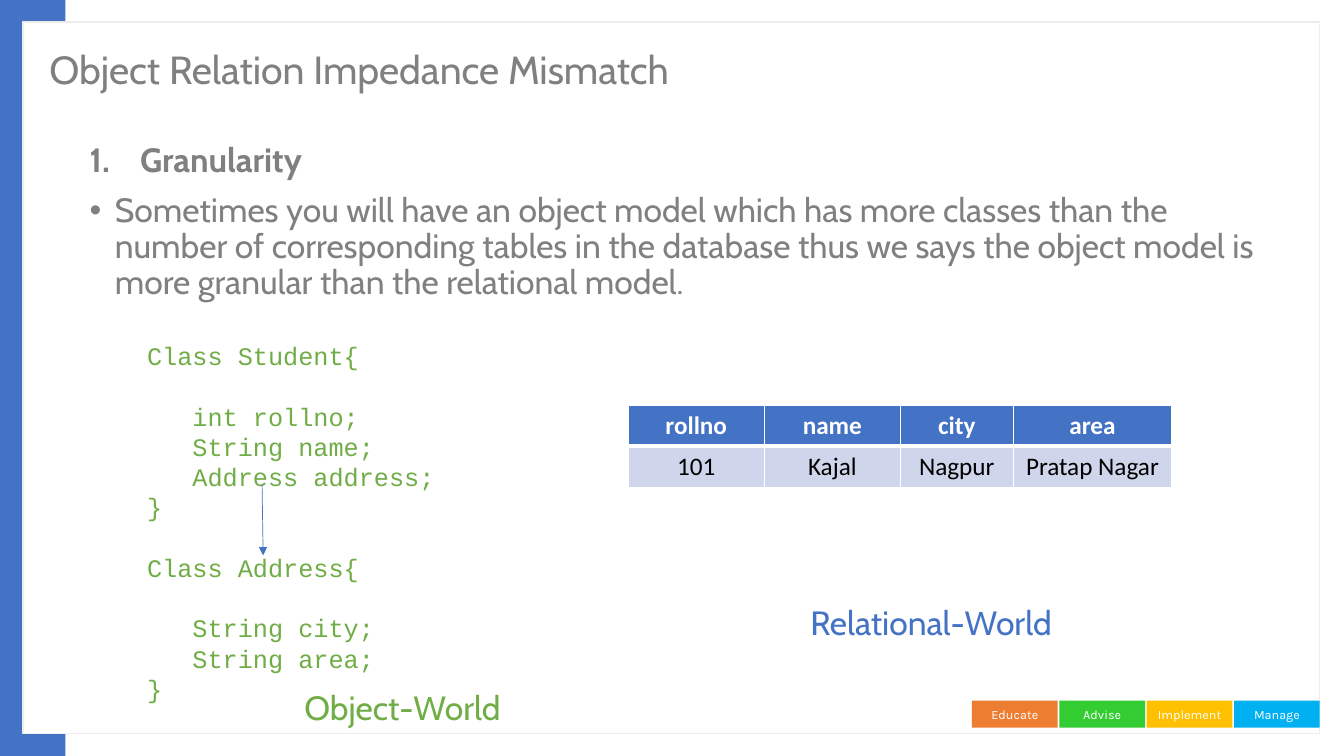
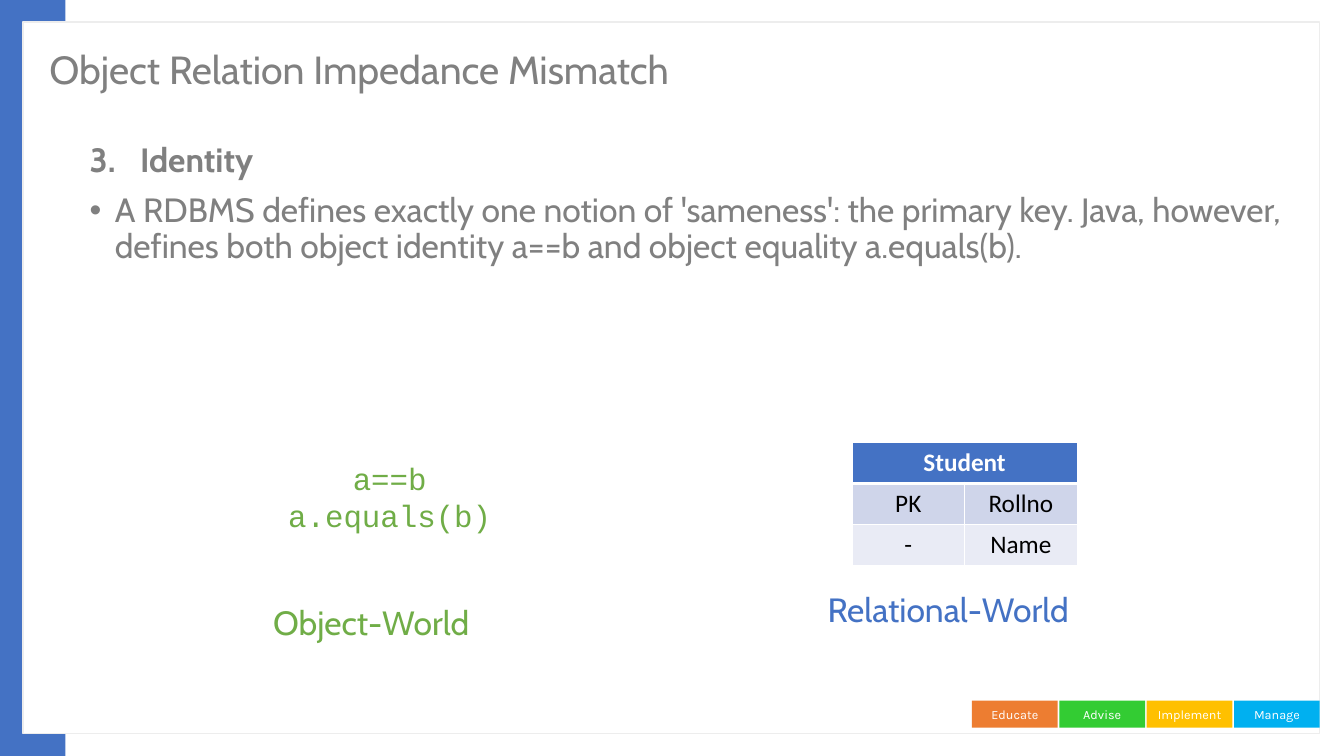
from pptx import Presentation
from pptx.dml.color import RGBColor
from pptx.enum.shapes import MSO_CONNECTOR, MSO_SHAPE
from pptx.enum.text import MSO_ANCHOR, PP_ALIGN
from pptx.oxml.ns import qn
from pptx.util import Inches, Pt
from lxml.etree import SubElement

COLORS = {
    "blue": "4472C4", "white": "FFFFFF", "frame": "EDEDED", "grey": "808080",
    "green": "70AD47", "black": "000000", "odd_row": "CFD5EA", "even_row": "E9EBF5",
    "orange": "ED7D31", "lime": "33CC33", "amber": "FFC000", "sky": "00B0F0",
}
RGB = {name: RGBColor.from_string(value) for name, value in COLORS.items()}
TITLE = "Object Relation Impedance Mismatch"
FOOTER = [("Educate", "orange"), ("Advise", "lime"), ("Implement", "amber"), ("Manage", "sky")]

prs = Presentation()
prs.slide_width, prs.slide_height = Inches(13.33), Inches(7.5)
# The grid has 100 columns and 100 rows
COL, ROW = prs.slide_width / 100, prs.slide_height / 100
TABLE_ROW = 5.42
CODE_INDENT, CODE_GAP = Pt(32.4), Pt(21.6)


def add_outline(parent, tag, color, points):
    """Append a solid line element, used for letter outlines and cell borders."""
    ln = SubElement(parent, qn(tag), w=str(Pt(points)))
    SubElement(SubElement(ln, qn("a:solidFill")), qn("a:srgbClr"), val=COLORS[color])


def add_text(s, box, lines, size, color, font="Cabin", align=PP_ALIGN.LEFT, outlined=False):
    """Add a text box placed in grid units, one paragraph per line."""
    x, y, w, h = box
    tf = s.shapes.add_textbox(int(x * COL), int(y * ROW), int(w * COL), int(h * ROW)).text_frame
    tf.word_wrap = True
    tf.text = "\n".join(lines)
    for p in tf.paragraphs:
        p.alignment = align
        for r in p.runs:
            if outlined:
                add_outline(r.font._element, "a:ln", color, 0.75)
            r.font.size, r.font.name = Pt(size), font
            r.font.color.rgb = RGB[color]
    return tf


SLIDES = [
    {
        "number": 1, "heading": "Granularity",
        "body": "Sometimes you will have an object model which has more classes than the "
                "number of corresponding tables in the database thus we says the object "
                "model is more granular than the relational model.",
        "object_at": (21.9, 90.27), "relational_at": (59.56, 78.93),
        "table_at": (46.74, 53.6), "cols": [10.13, 10.13, 8.4, 11.78],
        "rows": [["rollno", "name", "city", "area"],
                 ["101", "Kajal", "Nagpur", "Pratap Nagar"]],
    },
    {
        "number": 3, "heading": "Identity",
        "body": "A RDBMS defines exactly one notion of 'sameness': the primary key. Java, "
                "however, defines both object identity a==b and object equality a.equals(b).",
        "object_at": (19.58, 78.93), "relational_at": (60.84, 77.2),
        "table_at": (63.39, 58.53), "cols": [8.38, 8.38],
        "rows": [["Student", ""], ["PK", "Rollno"], ["-", "Name"]],
    },
]

for data in SLIDES:
    s = prs.slides.add_slide(prs.slide_layouts[6])

    # Side band, framed panel and footer tags
    blocks = [((0, 0, 4.88, 100), "blue", ""), ((1.72, 2.93, 96.47, 94.13), "white", "")]
    blocks += [((72.32 + 6.5 * i, 92.67, 6.38, 3.6), color, label)
               for i, (label, color) in enumerate(FOOTER)]
    for (x, y, w, h), color, label in blocks:
        sp = s.shapes.add_shape(MSO_SHAPE.RECTANGLE, int(x * COL), int(y * ROW),
                                int(w * COL), int(h * ROW))
        sp.shadow.inherit = False
        sp.fill.solid()
        sp.fill.fore_color.rgb = RGB[color]
        if color == "white":
            sp.line.color.rgb, sp.line.width = RGB["frame"], Pt(1)
        else:
            sp.line.fill.background()
        if label:
            tf = sp.text_frame
            tf.text = label
            tf.vertical_anchor = MSO_ANCHOR.MIDDLE
            tf.margin_left = tf.margin_right = 0
            p = tf.paragraphs[0]
            p.alignment = PP_ALIGN.CENTER
            r = p.runs[0]
            r.font.size, r.font.name = Pt(9), "Karla"
            r.font.color.rgb = RGB["white"]

    # Title
    tf = add_text(s, (2.93, 3.73, 77.42, 11.6), [TITLE], 28, "grey")
    tf.vertical_anchor = MSO_ANCHOR.MIDDLE
    tf.paragraphs[0].line_spacing = 0.9

    # Numbered heading and bullet
    tf = add_text(s, (5.93, 18.27, 90.55, 73.73), [data["heading"], data["body"]], 24, "grey")
    heading, bullet = tf.paragraphs
    heading.runs[0].font.bold = True
    for p, indent in ((heading, 0.5), (bullet, 0.25)):
        p.line_spacing, p.space_before = 0.9, Pt(10)
        pPr = p._p.get_or_add_pPr()
        pPr.set("marL", str(Inches(indent)))
        pPr.set("indent", str(-Inches(indent)))
    SubElement(heading._p.pPr, qn("a:buFont"), typeface="+mj-lt")
    SubElement(heading._p.pPr, qn("a:buAutoNum"), type="arabicPeriod",
               startAt=str(data["number"]))
    SubElement(bullet._p.pPr, qn("a:buFont"), typeface="Arial")
    SubElement(bullet._p.pPr, qn("a:buChar"), char="•")

    # Labels of the two worlds
    add_text(s, (*data["object_at"], 18.83, 6.67), ["Object-World"], 24, "green", outlined=True)
    add_text(s, (*data["relational_at"], 21.76, 6.67), ["Relational-World"], 24, "blue")

    # Table
    x, y = data["table_at"]
    cols, rows = data["cols"], data["rows"]
    table = s.shapes.add_table(len(rows), len(cols), int(x * COL), int(y * ROW),
                               int(sum(cols) * COL), int(len(rows) * TABLE_ROW * ROW)).table
    for column, width in zip(table.columns, cols):
        column.width = int(width * COL)
    for i, row in enumerate(rows):
        table.rows[i].height = int(TABLE_ROW * ROW)
        for j, value in enumerate(row):
            cell = table.cell(i, j)
            tcPr = cell._tc.get_or_add_tcPr()
            for tag in ("a:lnL", "a:lnR", "a:lnT", "a:lnB"):
                under_header = (i, tag) in ((0, "a:lnB"), (1, "a:lnT"))
                add_outline(tcPr, tag, "white", 3 if under_header else 1)
            cell.fill.solid()
            cell.fill.fore_color.rgb = RGB[("blue", "odd_row", "even_row")[i]]
            if value:
                cell.text_frame.text = value
                p = cell.text_frame.paragraphs[0]
                p.alignment = PP_ALIGN.CENTER
                r = p.runs[0]
                r.font.size, r.font.name, r.font.bold = Pt(18), "Calibri", i == 0
                r.font.color.rgb = RGB["black" if i else "white"]
    if "" in rows[0]:
        table.cell(0, 0).merge(table.cell(0, len(cols) - 1))

# Class listing and the arrow from the field to its class
s = prs.slides[0]
code = ["Class Student{", "int rollno;", "String name;", "Address address;", "}",
        "Class Address{", "String city;", "String area;", "}"]
tf = add_text(s, (10.2, 44.4, 23.26, 49.87), code, 18, "green", "Courier New", outlined=True)
previous = ""
for p in tf.paragraphs:
    if p.text.endswith(";"):
        p._p.get_or_add_pPr().set("marL", str(CODE_INDENT))
    if previous.endswith("{") or previous == "}":
        p.space_before = CODE_GAP
    previous = p.text

arrow = s.shapes.add_connector(MSO_CONNECTOR.STRAIGHT, int(19.5 * COL), int(64 * ROW),
                               int(19.58 * COL), int(73.47 * ROW))
arrow.line.color.rgb, arrow.line.width = RGB["blue"], Pt(0.5)
SubElement(arrow.line._get_or_add_ln(), qn("a:tailEnd"), type="triangle")
SubElement(arrow._element.spPr, qn("a:effectLst"))

# Two ways to compare objects
add_text(prs.slides[1], (19.58, 60.13, 18.83, 11.2), ["a==b", "a.equals(b)"], 22, "green",
         "Courier New", PP_ALIGN.CENTER)

prs.save("out.pptx")
